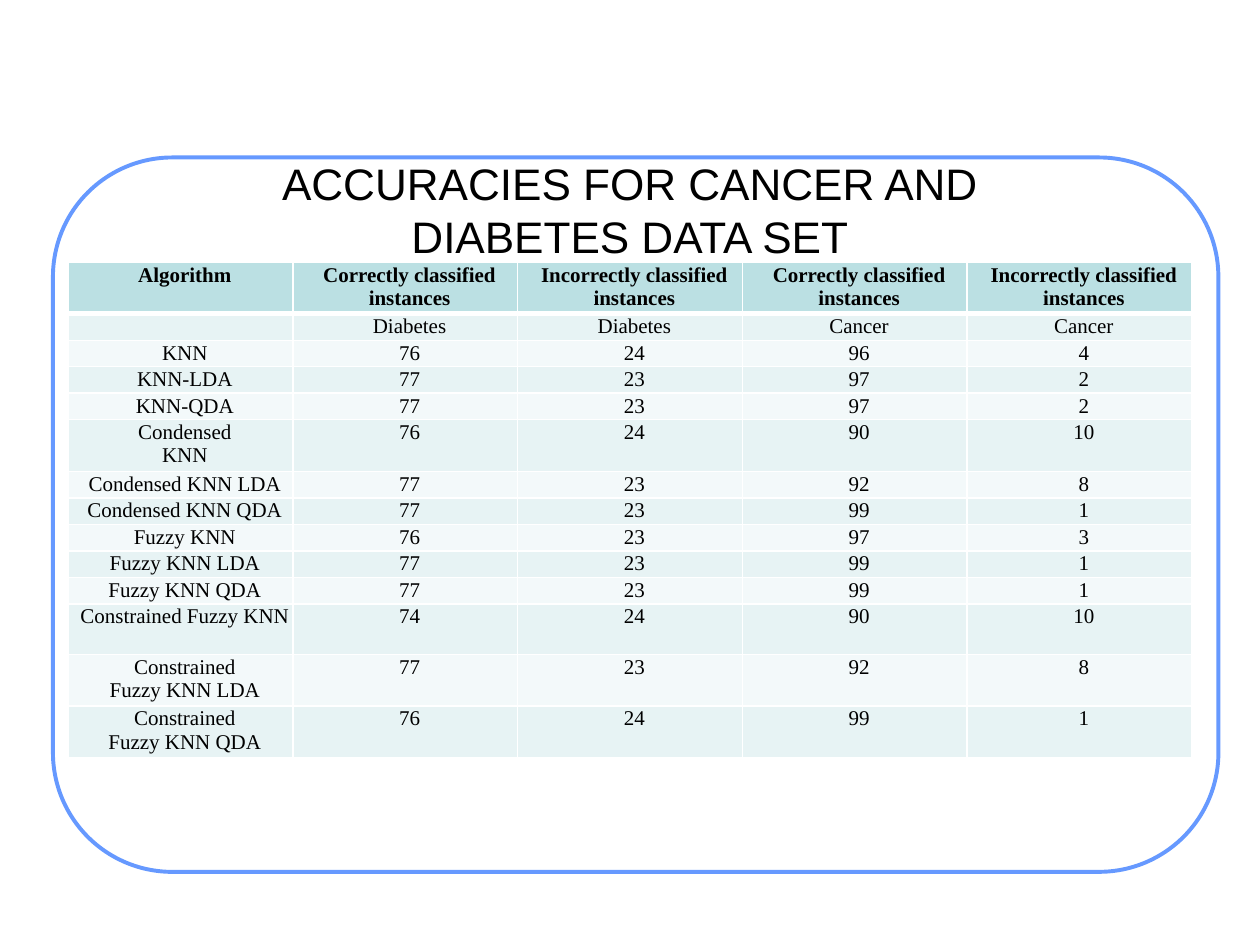
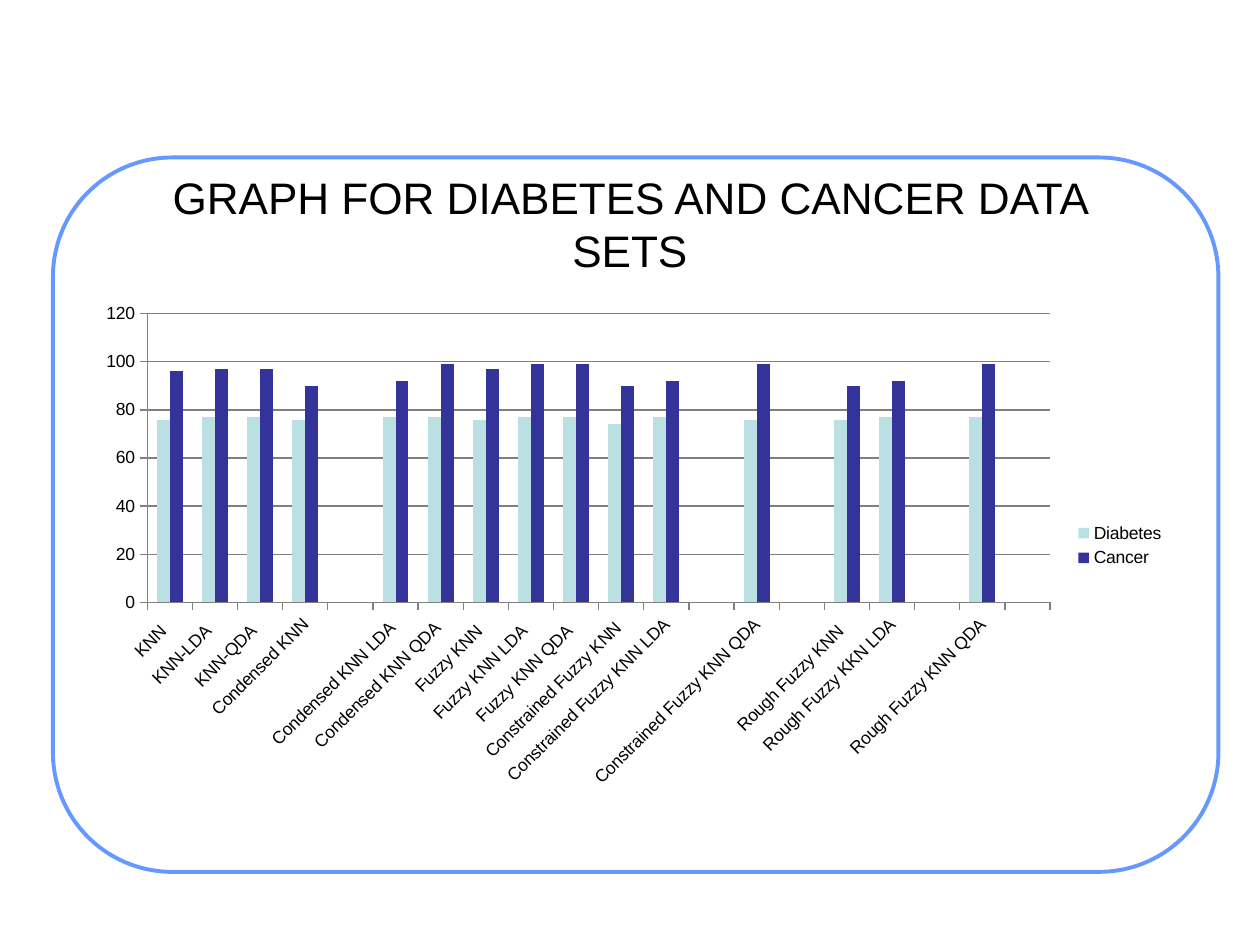
import pptx
import pptx.util
import pptx.dml.color
import pptx.chart.data
import pptx.enum.chart
import pptx.enum.shapes
import pptx.enum.text
import pptx.oxml.ns
from dataclasses import dataclass
from lxml import etree

Inches, Pt = pptx.util.Inches, pptx.util.Pt
qn = pptx.oxml.ns.qn


@dataclass(frozen=True)
class Theme:
    """Colours, fonts and type sizes of the deck."""
    white: str = "FFFFFF"
    black: str = "000000"
    edge: str = "6699FF"
    grid: str = "808080"
    head: str = "BBE0E3"
    bands: tuple = ("E7F3F4", "F3F9FA")
    bars: tuple = ("BBE0E3", "333399")
    sans: str = "Arial"
    serif: str = "Times New Roman"
    title: float = 25.2
    cell: float = 12
    chart: float = 10


THEME = Theme()

HEADS = ["Algorithm"] + ["Correctly classified instances",
                         "Incorrectly classified instances"] * 2
ROWS = [
    ("", "Diabetes", "Diabetes", "Cancer", "Cancer"),
    ("KNN", 76, 24, 96, 4),
    ("KNN-LDA", 77, 23, 97, 2),
    ("KNN-QDA", 77, 23, 97, 2),
    ("Condensed\nKNN", 76, 24, 90, 10),
    ("Condensed KNN LDA", 77, 23, 92, 8),
    ("Condensed KNN QDA", 77, 23, 99, 1),
    ("Fuzzy KNN", 76, 23, 97, 3),
    ("Fuzzy KNN LDA", 77, 23, 99, 1),
    ("Fuzzy KNN QDA", 77, 23, 99, 1),
    ("Constrained Fuzzy KNN", 74, 24, 90, 10),
    ("Constrained\nFuzzy KNN LDA", 77, 23, 92, 8),
    ("Constrained\nFuzzy KNN QDA", 76, 24, 99, 1),
]
TALL = {0, 5, 11, 12, 13}

GAP = ("", None, None)
SCORES = [
    ("KNN  ", 76, 96), ("KNN-LDA  ", 77, 97), ("KNN-QDA  ", 77, 97),
    ("Condensed KNN", 76, 90), GAP,
    ("Condensed KNN LDA ", 77, 92), ("Condensed KNN QDA ", 77, 99),
    ("Fuzzy KNN  ", 76, 97), ("Fuzzy KNN LDA  ", 77, 99),
    ("Fuzzy KNN QDA  ", 77, 99), ("Constrained Fuzzy KNN ", 74, 90),
    ("Constrained Fuzzy KNN LDA", 77, 92), GAP,
    ("Constrained Fuzzy KNN QDA", 76, 99), GAP,
    ("Rough Fuzzy KNN  ", 76, 90), ("Rough Fuzzy KKN LDA", 77, 92), GAP,
    ("Rough Fuzzy KNN QDA", 77, 99), GAP,
]


def rgb(code):
    """Return the colour for a hex code."""
    return pptx.dml.color.RGBColor.from_string(code)


def style(font, face, size, bold=False):
    """Set face, size and weight of black text."""
    font.name, font.size, font.bold = face, Pt(size), bold
    font.color.rgb = rgb(THEME.black)


def add_frame(slide, box):
    """Draw the rounded frame that every slide has."""
    frame = slide.shapes.add_shape(
        pptx.enum.shapes.MSO_SHAPE.ROUNDED_RECTANGLE, *map(Inches, box))
    frame.adjustments[0] = 0.167
    frame.shadow.inherit = False
    frame.fill.solid()
    frame.fill.fore_color.rgb = rgb(THEME.white)
    frame.line.color.rgb = rgb(THEME.edge)
    frame.line.width = Pt(2.25)


def add_title(slide, box, text):
    """Write the centred slide title."""
    frame = slide.shapes.add_textbox(*map(Inches, box)).text_frame
    frame.word_wrap = True
    frame.vertical_anchor = pptx.enum.text.MSO_ANCHOR.MIDDLE
    frame.text = text
    para = frame.paragraphs[0]
    para.alignment = pptx.enum.text.PP_ALIGN.CENTER
    style(para.runs[0].font, THEME.sans, THEME.title)


def add_edges(cell, top, base):
    """Rule a cell in white, with its own top and bottom widths."""
    props = cell._tc.get_or_add_tcPr()
    for side, width in (("L", 1), ("R", 1), ("T", top), ("B", base)):
        line = etree.SubElement(props, qn("a:ln" + side), w=str(Pt(width)))
        fill = etree.SubElement(line, qn("a:solidFill"))
        etree.SubElement(fill, qn("a:srgbClr"), val=THEME.white)


def fill_cell(cell, text, row):
    """Write and style one cell according to its row."""
    add_edges(cell, 3 if row == 1 else 1, 3 if row == 0 else 1)
    cell.fill.solid()
    cell.fill.fore_color.rgb = rgb(
        THEME.bands[(row - 1) % 2] if row else THEME.head)
    cell.margin_left, cell.margin_top = Inches(0.07), Inches(0.01)
    cell.margin_right = cell.margin_bottom = 0
    cell.text_frame.text = str(text)
    for para in cell.text_frame.paragraphs:
        para.alignment = pptx.enum.text.PP_ALIGN.CENTER
        para.line_spacing = 1.0
        for run in para.runs:
            style(run.font, THEME.serif, THEME.cell, row == 0)
        if not para.runs:
            etree.SubElement(para._p, qn("a:endParaRPr"),
                             sz=str(int(THEME.cell * 100)))


def add_grid(slide, box):
    """Build the table of accuracies."""
    data = [HEADS] + ROWS
    table = slide.shapes.add_table(
        len(data), len(HEADS), *map(Inches, box)).table
    table.horz_banding = table.first_row = False
    for col in table.columns:
        col.width = Inches(box[2] / len(HEADS))
    for row, texts in enumerate(data):
        table.rows[row].height = Inches(0.4 if row in TALL else 0.2)
        for col, text in enumerate(texts):
            fill_cell(table.cell(row, col), text, row)


def set_plot(chart, **parts):
    """Fix the inner plot area as shares of the chart."""
    area = chart._chartSpace.chart.plotArea
    for old in area.findall(qn("c:layout")):
        area.remove(old)
    layout = etree.Element(qn("c:layout"))
    manual = etree.SubElement(layout, qn("c:manualLayout"))
    modes = {"layoutTarget": "inner", "xMode": "edge", "yMode": "edge"}
    for name, value in {**modes, **parts}.items():
        etree.SubElement(manual, qn("c:" + name), val=str(value))
    area.insert(0, layout)


def add_graph(slide, box):
    """Build the column chart of both data sets."""
    names, sugar, cancer = zip(*SCORES)
    data = pptx.chart.data.CategoryChartData()
    data.categories = names
    data.add_series("Diabetes  ", sugar)
    data.add_series("Cancer  ", cancer)
    chart = slide.shapes.add_chart(
        pptx.enum.chart.XL_CHART_TYPE.COLUMN_CLUSTERED,
        *map(Inches, box), data).chart
    style(chart.font, THEME.sans, THEME.chart)
    chart.has_title = False
    chart.has_legend = True
    chart.legend.position = pptx.enum.chart.XL_LEGEND_POSITION.RIGHT
    chart.legend.include_in_layout = False
    plot = chart.plots[0]
    plot.vary_by_categories = False
    plot.gap_width, plot.overlap = 150, 0
    for bar, color in zip(plot.series, THEME.bars):
        bar.format.fill.solid()
        bar.format.fill.fore_color.rgb = rgb(color)
    value, label = chart.value_axis, chart.category_axis
    value.minimum_scale, value.maximum_scale = 0, 120
    value.major_unit = 20
    value.has_major_gridlines = True
    for line in (value.format.line, label.format.line,
                 value.major_gridlines.format.line):
        line.color.rgb = rgb(THEME.grid)
        line.width = Pt(0.75)
    for axis in (value, label):
        axis.major_tick_mark = pptx.enum.chart.XL_TICK_MARK.OUTSIDE
        style(axis.tick_labels.font, THEME.sans, THEME.chart)
    label._element.txPr.find(qn("a:bodyPr")).set("rot", "-2700000")
    set_plot(chart, x=0.057, y=0.04, w=0.819, h=0.573)


def add_page(deck, title, depth, build, box):
    """Add a framed slide with a title and one main object."""
    slide = deck.slides.add_slide(deck.slide_layouts[6])
    add_frame(slide, (0.42, 1.25, 9.25, 5.67))
    add_title(slide, (1.25, 1.33, 7.5, depth), title)
    build(slide, box)


def main():
    """Build and save the deck."""
    deck = pptx.Presentation()
    deck.slide_width, deck.slide_height = Inches(10), Inches(7.5)
    add_page(deck, "ACCURACIES FOR CANCER AND DIABETES DATA SET", 0.67,
             add_grid, (0.54, 2.08, 8.92, 4.17))
    add_page(deck, "GRAPH FOR DIABETES AND CANCER DATA SETS", 0.88,
             add_graph, (0.67, 2.33, 8.75, 4))
    deck.save("out.pptx")


main()
